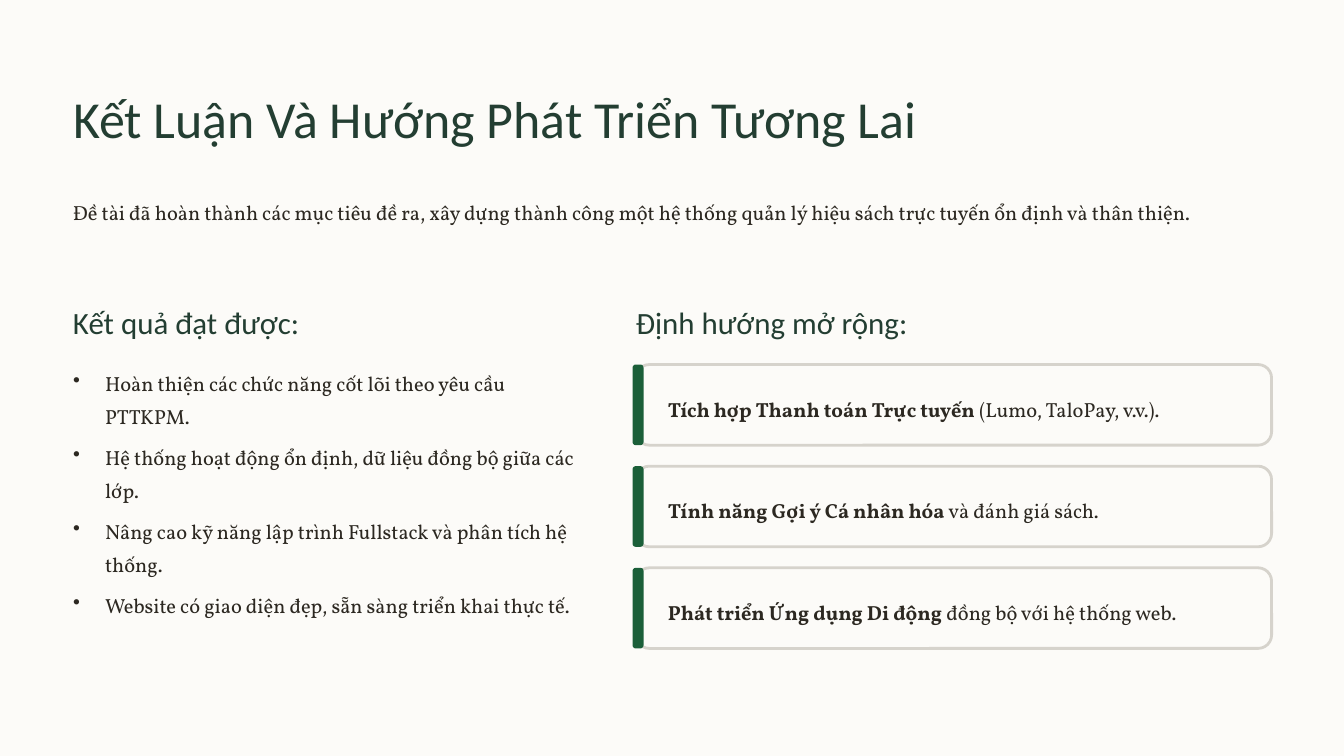
from dataclasses import dataclass

from lxml import etree
from pptx import Presentation
from pptx.dml.color import RGBColor
from pptx.enum import shapes, text
from pptx.oxml import ns
from pptx.util import Pt


@dataclass(frozen=True)
class Style:
    font: str
    size: float
    leading: float
    color: RGBColor


@dataclass(frozen=True)
class Theme:
    paper = RGBColor.from_string("FCFBF8")
    border = RGBColor.from_string("D6D3CC")
    accent = RGBColor.from_string("1B5F39")
    heading_ink = RGBColor.from_string("233E32")
    body_ink = RGBColor.from_string("2C2821")
    title = Style("Calibri", 44.5, 55.5, heading_ink)
    heading = Style("Calibri", 26.5, 33, heading_ink)
    body = Style("Vollkorn", 17.5, 28.5, body_ink)


THEME = Theme()
LEFT = 62.6
RIGHT = 545
HEADING_TOP = 259.2
CARD_TOP = 312.5
CARD_PITCH = 87.1
CARD_HEIGHT = 69.1
BULLET_INDENT = 27.4

TITLE = "Kết Luận Và Hướng Phát Triển Tương Lai"
SUMMARY = (
    "Đề tài đã hoàn thành các mục tiêu đề ra, xây dựng thành công "
    "một hệ thống quản lý hiệu sách trực tuyến ổn định và thân thiện."
)
RESULTS = [
    "Hoàn thiện các chức năng cốt lõi theo yêu cầu PTTKPM.",
    "Hệ thống hoạt động ổn định, dữ liệu đồng bộ giữa các lớp.",
    "Nâng cao kỹ năng lập trình Fullstack và phân tích hệ thống.",
    "Website có giao diện đẹp, sẵn sàng triển khai thực tế.",
]
DIRECTIONS = [
    ("Tích hợp Thanh toán Trực tuyến", " (Lumo, TaloPay, v.v.)."),
    ("Tính năng Gợi ý Cá nhân hóa", " và đánh giá sách."),
    ("Phát triển Ứng dụng Di động", " đồng bộ với hệ thống web."),
]


def prepare_frame(frame, wrap):
    frame.margin_left = frame.margin_top = 0
    frame.margin_right = frame.margin_bottom = 0
    frame.auto_size = text.MSO_AUTO_SIZE.NONE
    frame.vertical_anchor = text.MSO_ANCHOR.TOP
    frame.word_wrap = wrap
    return frame


def add_run(paragraph, words, style, bold=False):
    run = paragraph.add_run()
    run.text = words
    run.font.name = style.font
    run.font.size = Pt(style.size)
    run.font.color.rgb = style.color
    run.font.bold = bold


def set_paragraph(paragraph, style):
    paragraph.alignment = text.PP_ALIGN.LEFT
    paragraph.line_spacing = Pt(style.leading)


def add_text(slide, left, top, width, height, style, runs, wrap=False):
    box = slide.shapes.add_textbox(Pt(left), Pt(top), Pt(width), Pt(height))
    paragraph = prepare_frame(box.text_frame, wrap).paragraphs[0]
    set_paragraph(paragraph, style)
    for words, bold in runs:
        add_run(paragraph, words, style, bold)


def set_title(slide):
    title = slide.shapes.title
    title.left, title.top = Pt(LEFT), Pt(72)
    title.width, title.height = Pt(825), Pt(56)
    paragraph = prepare_frame(title.text_frame, False).paragraphs[0]
    set_paragraph(paragraph, THEME.title)
    add_run(paragraph, TITLE, THEME.title)


def add_heading(slide, left, words):
    add_text(slide, left, HEADING_TOP, 268, 34, THEME.heading, [(words, False)])


def add_bullets(slide, items):
    box = slide.shapes.add_textbox(Pt(LEFT), Pt(310.3), Pt(438.5), Pt(247))
    frame = prepare_frame(box.text_frame, True)
    for index, item in enumerate(items):
        paragraph = frame.paragraphs[0] if index == 0 else frame.add_paragraph()
        set_paragraph(paragraph, THEME.body)
        if index:
            paragraph.space_before = Pt(6.4)
        properties = paragraph._p.get_or_add_pPr()
        properties.set("marL", str(Pt(BULLET_INDENT)))
        properties.set("indent", str(-Pt(BULLET_INDENT)))
        etree.SubElement(properties, ns.qn("a:buChar")).set("char", "•")
        add_run(paragraph, item, THEME.body)


def add_rounded(slide, left, top, width, radius, fill, border=None):
    panel = slide.shapes.add_shape(
        shapes.MSO_SHAPE.ROUNDED_RECTANGLE,
        Pt(left), Pt(top), Pt(width), Pt(CARD_HEIGHT),
    )
    panel.adjustments[0] = radius
    panel.shadow.inherit = False
    panel.fill.solid()
    panel.fill.fore_color.rgb = fill
    if border is None:
        panel.line.fill.background()
    else:
        panel.line.color.rgb = border
        panel.line.width = Pt(2.4)


def add_card(slide, top, lead, detail):
    add_rounded(slide, RIGHT, top, 545, 0.167, THEME.paper, THEME.border)
    add_rounded(slide, RIGHT - 2.8, top, 9.4, 0.279, THEME.accent)
    add_text(slide, 572.4, top + 20.2, 497.5, 28.8, THEME.body,
             [(lead, True), (detail, False)])


def main():
    deck = Presentation()
    deck.slide_width, deck.slide_height = Pt(1152), Pt(648)
    slide = deck.slides.add_slide(deck.slide_layouts.get_by_name("Title Only"))
    slide.background.fill.solid()
    slide.background.fill.fore_color.rgb = THEME.paper

    set_title(slide)
    add_text(slide, LEFT, 164.2, 1026.7, 57, THEME.body, [(SUMMARY, False)], wrap=True)
    add_heading(slide, LEFT, "Kết quả đạt được:")
    add_bullets(slide, RESULTS)
    add_heading(slide, RIGHT, "Định hướng mở rộng:")
    for index, (lead, detail) in enumerate(DIRECTIONS):
        add_card(slide, CARD_TOP + index * CARD_PITCH, lead, detail)

    deck.save("out.pptx")


if __name__ == "__main__":
    main()
